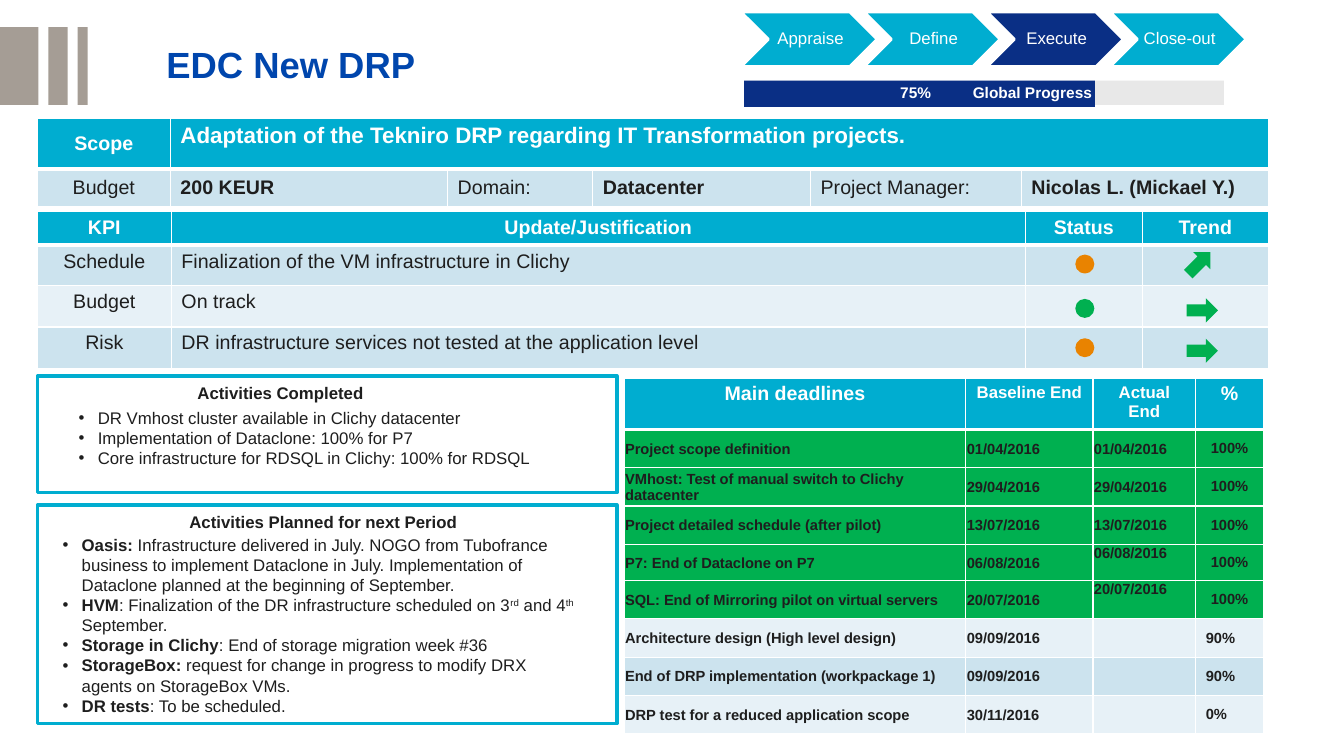
from lxml import etree
from pptx import Presentation
from pptx import util as u
from pptx.dml.color import RGBColor
from pptx.enum import shapes, text
from pptx.oxml import ns

PX = 9144
HUES = {"cyan": "00ADD0", "navy": "0A2F85", "blue": "0046AD", "ink": "1E1E1E",
        "white": "FFFFFF", "stone": "A59D95", "grey": "E8E8E8", "pale": "CCE3EE",
        "mist": "E7F1F7", "green": "00B050", "amber": "E98300"}
KIND = shapes.MSO_SHAPE
LEFT, MID = text.PP_ALIGN.LEFT, text.PP_ALIGN.CENTER
TOP, CORE = text.MSO_ANCHOR.TOP, text.MSO_ANCHOR.MIDDLE
BARE = dict.fromkeys(("margin_left", "margin_right", "margin_top", "margin_bottom"), 0)
TIGHT = {"margin_left": PX, "margin_right": PX, "margin_top": PX, "margin_bottom": 0}


def hue(name):
    return RGBColor.from_string(HUES[name])


def put(item, form):
    for key, val in form.items():
        setattr(item, key, val)


def place(item, box):
    put(item, dict(zip(("left", "top", "width", "height"), (n * PX for n in box))))


def write(para, words, size, tint="ink", bold=False, base=0):
    run = para.add_run()
    run.text = words
    put(run.font, {"name": "Arial", "size": u.Pt(size), "bold": bold})
    run.font.color.rgb = hue(tint)
    if base:
        run.font._element.set("baseline", str(base))


def shape(slide, kind, box, fill, line=None, wide=2):
    item = slide.shapes.add_shape(kind, *(n * PX for n in box))
    item.shadow.inherit = False
    item.fill.solid()
    item.fill.fore_color.rgb = hue(fill)
    if line:
        item.line.color.rgb = hue(line)
        item.line.width = u.Pt(wide)
    else:
        item.line.fill.background()
    return item


def label(slide, box, words, size, tint):
    item = slide.shapes.add_textbox(*(n * PX for n in box))
    item.text_frame.word_wrap = True
    write(item.text_frame.paragraphs[0], words, size, tint, True)


def step(slide, box, words, fill):
    item = shape(slide, KIND.CHEVRON, box, fill, "white")
    put(item.text_frame, {"margin_left": 5 * PX, "margin_right": 2 * PX, "margin_top": 2 * PX,
                          "margin_bottom": 2 * PX, "vertical_anchor": CORE, "word_wrap": False})
    para = item.text_frame.paragraphs[0]
    put(para, {"alignment": MID, "line_spacing": 0.9})
    write(para, words, 12, "white")


def edge(cell, row):
    props = cell._tc.get_or_add_tcPr()
    heavy = {0: "lnB", 1: "lnT"}.get(row)
    for side in ("lnL", "lnR", "lnT", "lnB"):
        line = etree.SubElement(props, ns.qn("a:" + side), w=str(u.Pt(3 if side == heavy else 1)))
        fill = etree.SubElement(line, ns.qn("a:solidFill"))
        etree.SubElement(fill, ns.qn("a:srgbClr"), val=HUES["white"])


def grid(slide, spot, cols, rows, data, fills, style):
    area = (*spot, sum(cols), sum(rows))
    table = slide.shapes.add_table(len(rows), len(cols), *(n * PX for n in area)).table
    for col, wide in zip(table.columns, cols):
        col.width = wide * PX
    for r, (row, high) in enumerate(zip(table.rows, rows)):
        row.height = high * PX
        for c, cell in enumerate(row.cells):
            edge(cell, r)
            cell.fill.solid()
            cell.fill.fore_color.rgb = hue(fills[r])
            size, bold, align, form = style(r, c)
            put(cell, form)
            para = cell.text_frame.paragraphs[0]
            para.alignment = align
            words = data[r][c]
            if words:
                write(para, words, size, "ink" if r else "white", bold)
            else:
                etree.SubElement(para._p, ns.qn("a:endParaRPr"), sz=str(int(size * 100)))
    return table


def scope(r, c):
    form = {"vertical_anchor": TOP if (r, c) == (0, 1) else CORE}
    return 16 if (r, c) == (0, 1) else 14, r == 0 or c in (1, 3, 5), LEFT if c else MID, form


def kpi(r, c):
    return 14, r == 0, LEFT if r and c == 1 else MID, {}


def dates(r, c):
    if r == 0:
        return 12 if c in (1, 2) else 14, True, MID, {}
    form = {"vertical_anchor": TOP if c == 2 and r in (4, 5) else CORE}
    if c < 3:
        form.update(TIGHT)
    return 10.5, True, MID if c == 3 and r < 6 else LEFT, form


def panel(slide, body, frame, area, head, spot, items):
    box = shape(slide, KIND.RECTANGLE, frame, "white", "cyan", 2.25)
    body.element.addprevious(box.element)
    label(slide, spot, head, 12, "ink")
    place(body, area)
    put(body.text_frame, {"word_wrap": True, "auto_size": text.MSO_AUTO_SIZE.NONE,
                          "vertical_anchor": TOP})
    for i, runs in enumerate(items):
        para = body.text_frame.add_paragraph() if i else body.text_frame.paragraphs[0]
        props = para._p.get_or_add_pPr()
        put_in = {"marL": str(19 * PX), "indent": str(-19 * PX)}
        for key, val in put_in.items():
            props.set(key, val)
        etree.SubElement(props, ns.qn("a:buFont"), typeface="Arial")
        etree.SubElement(props, ns.qn("a:buChar"), char="•")
        put(para, {"alignment": LEFT, "space_before": u.Pt(0), "line_spacing": 1.0})
        for words, mark in runs:
            write(para, words, 12, "ink", mark == "bold", 30000 if mark == "sup" else 0)


def main():
    deck = Presentation()
    put(deck, {"slide_width": 1333 * PX, "slide_height": 750 * PX})
    slide = deck.slides.add_slide(deck.slide_layouts[3])
    title, done, plan = slide.placeholders

    for x, wide in ((0, 38), (48, 19), (77, 10)):
        shape(slide, KIND.RECTANGLE, (x, 27, wide, 77), "stone")
    place(title, (165, 28, 560, 76))
    put(title.text_frame, {**BARE, "vertical_anchor": CORE, "word_wrap": True})
    para = title.text_frame.paragraphs[0]
    put(para, {"alignment": LEFT, "line_spacing": 0.9})
    write(para, "EDC New DRP", 26, "blue", True)

    for i, name in enumerate(("Appraise", "Define", "Execute", "Close-out")):
        step(slide, (735 + 122 * i, 12, 135, 54), name, "navy" if name == "Execute" else "cyan")
    shape(slide, KIND.RECTANGLE, (738, 80, 476, 24), "grey")
    shape(slide, KIND.RECTANGLE, (738, 80, 348, 26), "navy")
    label(slide, (883, 78, 75, 29), "75%", 11, "white")
    label(slide, (955, 78, 144, 29), "Global Progress", 11, "white")

    top = grid(slide, (37, 117), (132, 275, 144, 216, 209, 245), (51, 37), (
        ("Scope", "Adaptation of the Tekniro DRP regarding IT Transformation projects.",
         "", "", "", ""),
        ("Budget", "200 KEUR", "Domain:", "Datacenter", "Project Manager:",
         "Nicolas L. (Mickael Y.)")), ("cyan", "pale"), scope)
    top.cell(0, 1).merge(top.cell(0, 5))

    grid(slide, (37, 210), (133, 847, 116, 125), (33, 40, 41, 41), (
        ("KPI", "Update/Justification", "Status", "Trend"),
        ("Schedule", "Finalization of the VM infrastructure in Clichy", "", ""),
        ("Budget", "On track", "", ""),
        ("Risk", "DR infrastructure services not tested at the application level", "", "")),
        ("cyan", "pale", "mist", "pale"), kpi)
    for y, tint in ((254, "amber"), (298, "green"), (337, "amber")):
        shape(slide, KIND.OVAL, (1068, y, 16, 16), tint, tint)
    for x, y, turn in ((1174, 249, 315), (1177, 296, 0), (1177, 336, 0)):
        shape(slide, KIND.RIGHT_ARROW, (x, y, 31, 24), "green").rotation = turn

    grid(slide, (619, 375), (339, 126, 102, 67), (51, 38, 38, 38, 36, 38, 38, 38, 38), (
        ("Main deadlines", "Baseline End", "Actual End", "%"),
        ("Project scope definition", "01/04/2016", "01/04/2016", "100%"),
        ("VMhost: Test of manual switch to Clichy datacenter", "29/04/2016", "29/04/2016", "100%"),
        ("Project detailed schedule (after pilot)", "13/07/2016", "13/07/2016", "100%"),
        ("P7: End of Dataclone on P7", "06/08/2016", "06/08/2016", "100%"),
        ("SQL: End of Mirroring pilot on virtual servers", "20/07/2016", "20/07/2016", "100%"),
        ("Architecture design (High level design)", "09/09/2016", "", "90%"),
        ("End of DRP implementation (workpackage 1)", "09/09/2016", "", "90%"),
        ("DRP test for a reduced application scope", "30/11/2016", "", "0%")),
        ("cyan", *["green"] * 5, "mist", "pale", "mist"), dates)

    panel(slide, done, (37, 373, 575, 116), (68, 399, 535, 71),
          "Activities Completed", (186, 375, 268, 30), (
              [("DR Vmhost cluster available in Clichy datacenter", "")],
              [("Implementation of Dataclone: 100% for P7", "")],
              [("Core infrastructure for RDSQL in Clichy: 100% for RDSQL", "")]))
    panel(slide, plan, (37, 501, 575, 217), (52, 525, 535, 192),
          "Activities Planned for next Period", (178, 503, 305, 30), (
              [("Oasis:", "bold"), (" Infrastructure delivered in July. NOGO from Tubofrance "
                "business to implement Dataclone in July. Implementation of Dataclone planned "
                "at the beginning of September.", "")],
              [("HVM", "bold"), (": Finalization of the DR infrastructure scheduled on 3", ""),
               ("rd", "sup"), (" and 4", ""), ("th", "sup"), (" September.", "")],
              [("Storage in Clichy", "bold"), (": End of storage migration week #36", "")],
              [("StorageBox:", "bold"), (" request for change in progress to modify DRX agents "
                "on StorageBox VMs.", "")],
              [("DR tests", "bold"), (": To be scheduled.", "")]))
    deck.save("out.pptx")


if __name__ == "__main__":
    main()
